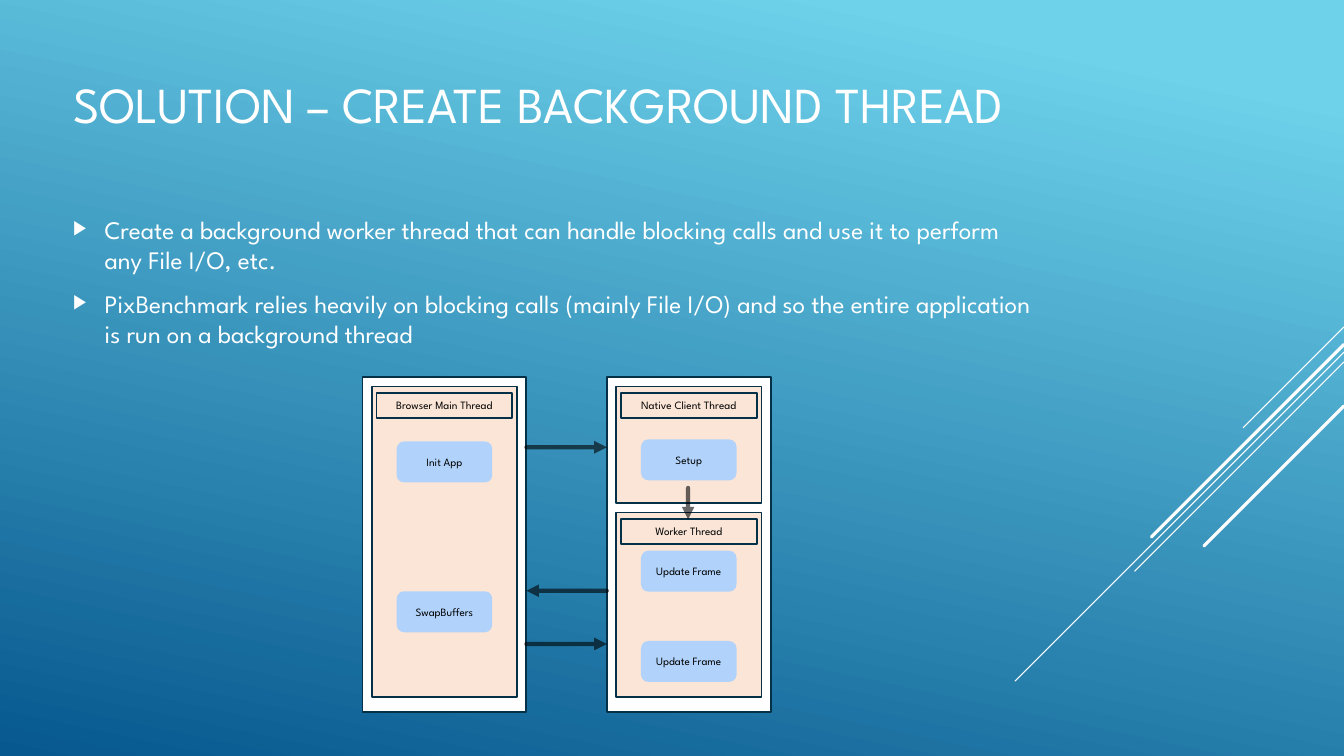
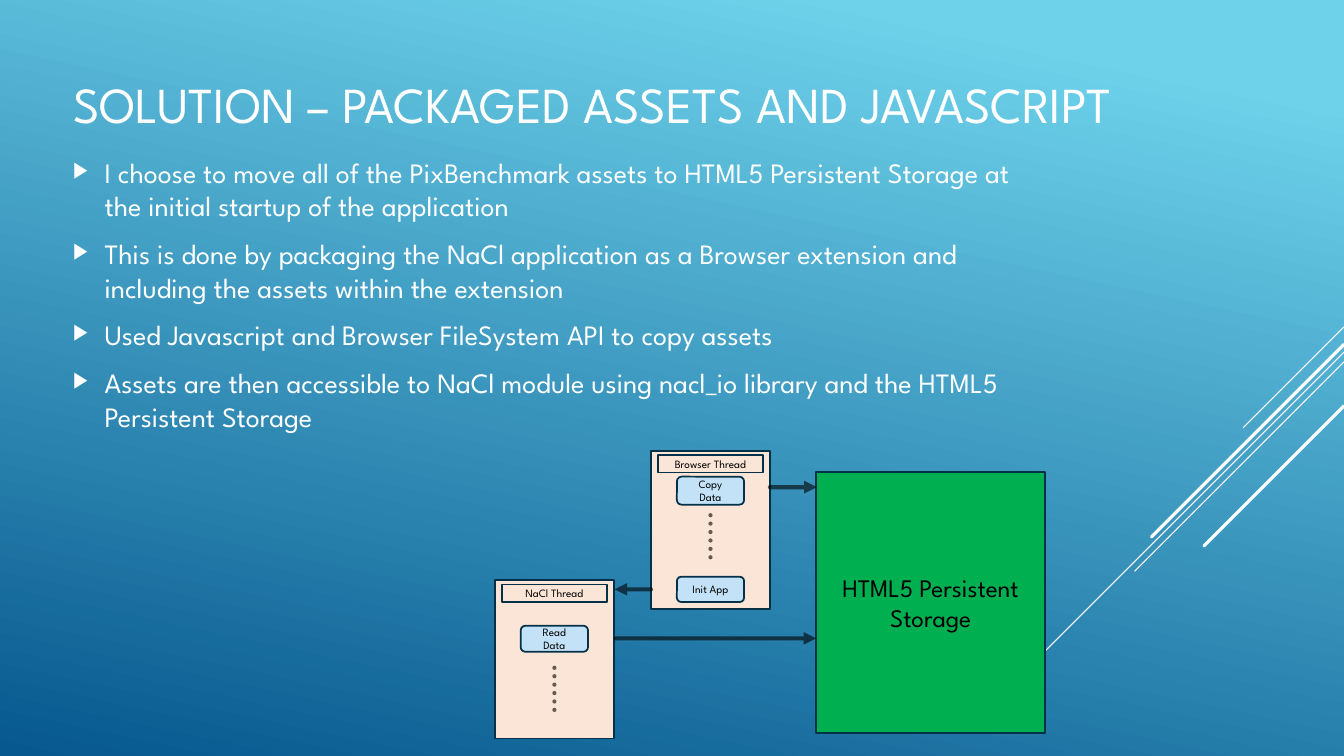
from dataclasses import dataclass

from lxml import etree
from pptx import Presentation
from pptx.dml.color import RGBColor
from pptx.enum import dml, shapes, text
from pptx.oxml.ns import qn
from pptx.util import Pt


@dataclass(frozen=True)
class Theme:
    font: str = "League Spartan"
    sky: str = "6ED2EB"
    deep: str = "06588E"
    white: str = "FFFFFF"
    ink: str = "000000"
    outline: str = "043148"
    peach: str = "FAE5D7"
    step: str = "B1D3FB"
    pale_step: str = "C3E2F7"
    storage: str = "00B050"
    title_size: float = 36
    label_size: float = 8
    storage_size: float = 18
    border: float = 1.25
    arrow: float = 3
    arrow_opacity: int = 60


THEME = Theme()
SLIDE_W, SLIDE_H = 960, 540

# Rays run down-left at 45 degrees from the right edge: start y, run, width
RAYS = [(233.5, 72, 0.75), (251.5, 235, 0.75), (258.5, 149.5, 0.75),
        (246, 137.5, 2.25), (290, 100, 2.25)]

THREAD_SLIDE = {
    "title": "SOLUTION – CREATE BACKGROUND THREAD",
    "title_width": 786,
    "body_box": (45, 114.5, 703.5, 173.5),
    "body_size": 18,
    "bullets": [
        "Create a background worker thread that can handle blocking calls "
        "and use it to perform any File I/O, etc.",
        "PixBenchmark relies heavily on blocking calls (mainly File I/O) "
        "and so the entire application is run on a background thread",
    ],
}
STORAGE_SLIDE = {
    "title": "SOLUTION – PACKAGED ASSETS AND JAVASCRIPT",
    "title_width": 878,
    "body_box": (45, 103, 703.5, 214),
    "body_size": 20,
    "bullets": [
        "I choose to move all of the PixBenchmark assets to HTML5 "
        "Persistent Storage at the initial startup of the application",
        "This is done by packaging the NaCl application as a Browser "
        "extension and including the assets within the extension",
        "Used Javascript and Browser FileSystem API to copy assets",
        "Assets are then accessible to NaCl module using nacl_io library "
        "and the HTML5 Persistent Storage",
    ],
}

# Column: left, then threads as (name, top, height, steps as (label, top))
PROCESSES = [
    (259, [("Browser Main Thread", 276, 222,
            [("Init App", 316), ("SwapBuffers", 423)])]),
    (433.5, [("Native Client Thread", 276, 83.5, [("Setup", 314.5)]),
             ("Worker Thread", 366, 132,
              [("Update Frame", 394), ("Update Frame", 458.5)])]),
]
PROCESS_TOP, PROCESS_W, PROCESS_H = 269.5, 117, 239
PROCESS_CALLS = [((376, 319.5), (433.5, 319.5)),
                 ((433.5, 422), (376, 422)),
                 ((376, 460), (433.5, 460)),
                 ((491.5, 348.5), (491.5, 371))]

# Card: name, left, top, steps as (label, top, height), dotted gap top
CARDS = [
    ("Browser Thread", 465, 322,
     [("Copy Data", 340.5, 20), ("Init App", 412, 18)], 368),
    ("NaCl Thread", 353.5, 414.5, [("Read Data", 447, 18.5)], 477),
]
CARD_W, CARD_H, GAP_H = 85, 113, 35
STORAGE = ("HTML5 Persistent Storage", (583, 337, 163.5, 186.5))
STORAGE_CALLS = [((550, 348), (583.5, 348)),
                 ((440, 456), (583, 456)),
                 ((465, 421), (439, 421))]


def rgb(value):
    return RGBColor.from_string(value)


def style_font(paragraph, size, color):
    font = paragraph.font
    font.name, font.size = THEME.font, Pt(size)
    font.color.rgb = rgb(color)


def place(shape, left, top, width, height):
    shape.left, shape.top = Pt(left), Pt(top)
    shape.width, shape.height = Pt(width), Pt(height)


def add_box(slide, box, fill, label="", border=THEME.outline,
            size=THEME.label_size, rounded=False):
    kind = shapes.MSO_SHAPE.ROUNDED_RECTANGLE if rounded else shapes.MSO_SHAPE.RECTANGLE
    shape = slide.shapes.add_shape(kind, *map(Pt, box))
    shape.shadow.inherit = False
    shape.fill.solid()
    shape.fill.fore_color.rgb = rgb(fill)
    shape.line.color.rgb = rgb(border)
    shape.line.width = Pt(THEME.border)
    if label:
        frame = shape.text_frame
        frame.word_wrap = True
        frame.vertical_anchor = text.MSO_ANCHOR.MIDDLE
        paragraph = frame.paragraphs[0]
        paragraph.text = label
        paragraph.alignment = text.PP_ALIGN.CENTER
        style_font(paragraph, size, THEME.ink)


def add_line(slide, start, end, color, width):
    """Add a round-capped line; return the connector and its a:ln element."""
    line = slide.shapes.add_connector(shapes.MSO_CONNECTOR.STRAIGHT,
                                      *map(Pt, (*start, *end)))
    line.line.color.rgb = rgb(color)
    line.line.width = Pt(width)
    properties = line.element.spPr
    etree.SubElement(properties, qn("a:effectLst"))
    outline = properties.find(qn("a:ln"))
    outline.set("cap", "rnd")
    return line, outline


def add_flow(slide, start, end, dotted=False):
    """Add a translucent arrow, or a dotted line without a head."""
    line, outline = add_line(slide, start, end, THEME.ink, THEME.arrow)
    color = outline.find(".//" + qn("a:srgbClr"))
    etree.SubElement(color, qn("a:alpha"), val=str(THEME.arrow_opacity * 1000))
    if dotted:
        line.line.dash_style = dml.MSO_LINE.ROUND_DOT
    else:
        etree.SubElement(outline, qn("a:tailEnd"), type="triangle")


def add_bullet(paragraph):
    properties = paragraph._p.get_or_add_pPr()
    properties.set("marL", str(Pt(22.5)))
    properties.set("indent", str(-Pt(22.5)))
    color = etree.SubElement(properties, qn("a:buClr"))
    etree.SubElement(color, qn("a:srgbClr"), val=THEME.white)
    etree.SubElement(properties, qn("a:buSzPct"), val="80000")
    etree.SubElement(properties, qn("a:buFont"), typeface=THEME.font)
    etree.SubElement(properties, qn("a:buChar"), char="▶")


def add_slide(deck, content):
    slide = deck.slides.add_slide(deck.slide_layouts[1])
    title, body = slide.placeholders
    place(title, 45, 24, content["title_width"], 99)
    place(body, *content["body_box"])
    for holder in (title, body):
        holder.text_frame.word_wrap = True
        holder.text_frame.auto_size = text.MSO_AUTO_SIZE.NONE
        holder.text_frame.vertical_anchor = text.MSO_ANCHOR.MIDDLE

    heading = title.text_frame.paragraphs[0]
    heading.text = content["title"]
    heading.alignment = text.PP_ALIGN.LEFT
    style_font(heading, THEME.title_size, THEME.white)

    size = content["body_size"]
    for index, bullet in enumerate(content["bullets"]):
        frame = body.text_frame
        paragraph = frame.add_paragraph() if index else frame.paragraphs[0]
        paragraph.text = bullet
        add_bullet(paragraph)
        paragraph.space_before = Pt(0.2 * size if index else 0)
        paragraph.space_after = Pt(6)
        style_font(paragraph, size, THEME.white)
    return slide


def decorate_master(deck, slide):
    """Set the gradient and move the rays, drawn on slide, to the master."""
    master = deck.slide_master
    fill = master.background.fill
    fill.gradient()
    fill.gradient_angle = 258
    for stop, color, position in zip(fill.gradient_stops,
                                     (THEME.sky, THEME.deep), (0.1, 1)):
        stop.color.rgb = rgb(color)
        stop.position = position
    for top, run, width in RAYS:
        ray, _ = add_line(slide, (SLIDE_W, top), (SLIDE_W - run, top + run),
                          THEME.white, width)
        master.shapes.element.append(ray.element)


def draw_threads(slide):
    for left, threads in PROCESSES:
        add_box(slide, (left, PROCESS_TOP, PROCESS_W, PROCESS_H), THEME.white)
        for name, top, height, steps in threads:
            add_box(slide, (left + 6.5, top, PROCESS_W - 13, height), THEME.peach)
            add_box(slide, (left + 10, top + 4.5, PROCESS_W - 20, 18),
                    THEME.peach, name)
            for label, step_top in steps:
                add_box(slide, (left + (PROCESS_W - 67) / 2, step_top, 67, 28),
                        THEME.step, label, border=THEME.step, rounded=True)
    for start, end in PROCESS_CALLS:
        add_flow(slide, start, end)


def draw_storage(slide):
    label, box = STORAGE
    add_box(slide, box, THEME.storage, label, size=THEME.storage_size)
    for name, left, top, steps, gap_top in CARDS:
        add_box(slide, (left, top, CARD_W, CARD_H), THEME.peach)
        add_box(slide, (left + 5, top + 3, CARD_W - 10, 12.5), THEME.peach, name)
        for step, step_top, height in steps:
            add_box(slide, (left + (CARD_W - 48) / 2, step_top, 48, height),
                    THEME.pale_step, step, rounded=True)
        middle = left + CARD_W / 2
        add_flow(slide, (middle, gap_top), (middle, gap_top + GAP_H), dotted=True)
    for start, end in STORAGE_CALLS:
        add_flow(slide, start, end)


def main():
    deck = Presentation()
    deck.slide_width, deck.slide_height = Pt(SLIDE_W), Pt(SLIDE_H)
    thread_slide = add_slide(deck, THREAD_SLIDE)
    decorate_master(deck, thread_slide)
    draw_threads(thread_slide)
    draw_storage(add_slide(deck, STORAGE_SLIDE))
    deck.save("out.pptx")


if __name__ == "__main__":
    main()
